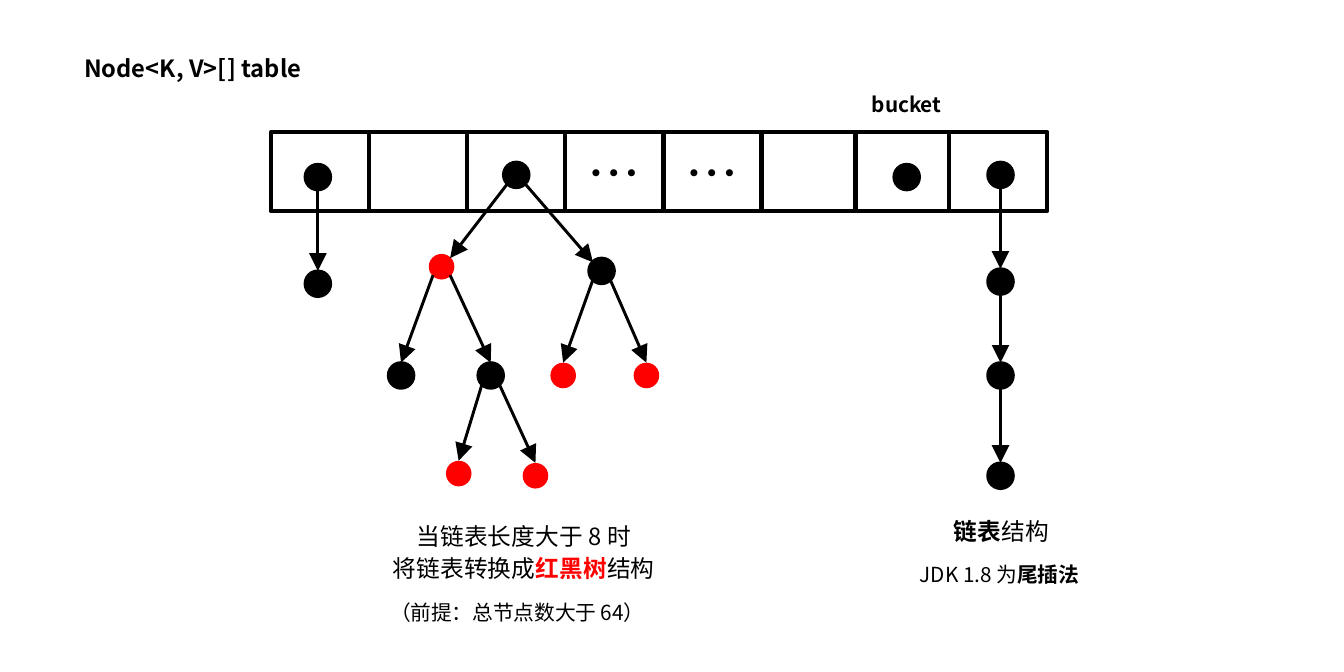
from dataclasses import dataclass

from lxml.etree import SubElement
from pptx import Presentation
from pptx.dml.color import RGBColor as RGB
from pptx.enum.shapes import MSO_CONNECTOR as CONNECTOR, MSO_SHAPE as SHAPE
from pptx.enum.text import MSO_ANCHOR as ANCHOR, PP_ALIGN as ALIGN
from pptx.oxml.ns import qn
from pptx.util import Inches, Pt


@dataclass(frozen=True)
class Theme:
    font: str = "Noto Sans CJK SC"
    black: RGB = RGB(0x00, 0x00, 0x00)
    white: RGB = RGB(0xFF, 0xFF, 0xFF)
    red: RGB = RGB(0xFF, 0x00, 0x00)
    body: float = 8
    small: float = 7
    ellipsis: float = 18
    cell_line: float = 1.5
    node_line: float = 1
    node: float = 0.12


class HashMapSlide:
    def __init__(self, slide, theme):
        self.shapes = slide.shapes
        self.theme = theme

    def set_lines(self, frame, lines, size, spacing=None):
        """Fill a frame; each line is a list of (text, bold, colour) runs."""
        frame.word_wrap = True
        frame.vertical_anchor = ANCHOR.MIDDLE
        frame.margin_left = frame.margin_right = 0
        frame.margin_top = frame.margin_bottom = 0
        for index, line in enumerate(lines):
            paragraph = frame.add_paragraph() if index else frame.paragraphs[0]
            paragraph.alignment = ALIGN.CENTER
            if spacing:
                paragraph.line_spacing = spacing
            paragraph.font.size = Pt(size)
            paragraph.font.name = self.theme.font
            defaults = paragraph._p.pPr.find(qn("a:defRPr"))
            SubElement(defaults, qn("a:ea")).set("typeface", self.theme.font)
            for text, bold, colour in line:
                run = paragraph.add_run()
                run.text = text
                run.font.bold = bold
                run.font.color.rgb = colour

    def text(self, left, top, width, height, lines, size, spacing=None):
        box = self.shapes.add_textbox(
            Inches(left), Inches(top), Inches(width), Inches(height))
        self.set_lines(box.text_frame, lines, size, spacing)

    def shape(self, kind, left, top, width, height, fill, line_width):
        item = self.shapes.add_shape(
            kind, Inches(left), Inches(top), Inches(width), Inches(height))
        item.shadow.inherit = False
        item.fill.solid()
        item.fill.fore_color.rgb = fill
        if line_width:
            item.line.color.rgb = self.theme.black
            item.line.width = Pt(line_width)
        else:
            item.line.fill.background()
        return item

    def cell(self, left, top, width, height, label):
        cell = self.shape(SHAPE.RECTANGLE, left, top, width, height,
                          self.theme.white, self.theme.cell_line)
        if label:
            self.set_lines(cell.text_frame, [[(label, False, self.theme.black)]],
                           self.theme.ellipsis)

    def node(self, x, y, colour):
        size = self.theme.node
        outline = self.theme.node_line if colour == self.theme.black else None
        self.shape(SHAPE.OVAL, x - size / 2, y - size / 2, size, size, colour, outline)

    def arrow(self, parent, child):
        """Run from the parent's lower edge to the child's upper edge."""
        radius, corner = self.theme.node / 2, 0.04
        (x1, y1), (x2, y2) = parent, child
        dx, dy = x2 - x1, y2 - y1
        side = (dx > 0) - (dx < 0)
        start = (x1 + side * corner, y1 + (corner if side else radius))
        if abs(dx) > 0.7 * dy:
            end = (x2 - side * corner, y2 - corner)
        else:
            end = (x2, y2 - radius)
        link = self.shapes.add_connector(
            CONNECTOR.STRAIGHT, *(Inches(value) for value in start + end))
        link.line.color.rgb = self.theme.black
        link.line.width = Pt(self.theme.node_line)
        outline = link._element.spPr.find(qn("a:ln"))
        SubElement(outline, qn("a:tailEnd")).set("type", "triangle")
        SubElement(link._element.spPr, qn("a:effectLst"))

    def tree(self, x, y, colour, *children):
        """Draw a node and, below it, its nested (x, y, colour, *children)."""
        self.node(x, y, colour)
        for child in children:
            self.tree(*child)
            self.arrow((x, y), child[:2])


def main():
    theme = Theme()
    black, red = theme.black, theme.red
    deck = Presentation()
    deck.slide_width, deck.slide_height = Inches(6.3), Inches(3.15)
    page = HashMapSlide(deck.slides.add_slide(deck.slide_layouts[6]), theme)

    wide, narrow = 0.46, 0.44
    left = 1.27
    for index, label in enumerate(["", "", "", "…", "…", "", "", ""]):
        page.cell(left, 0.62, wide, 0.37, label)
        left += wide if index < 5 else narrow

    buckets = [
        (1.49, 0.83, black, (1.49, 1.33, black)),
        (2.42, 0.82, black,
         (2.07, 1.25, red,
          (1.88, 1.76, black),
          (2.3, 1.76, black, (2.15, 2.22, red), (2.51, 2.23, red))),
         (2.82, 1.27, black, (2.64, 1.76, red), (3.03, 1.76, red))),
        (4.25, 0.83, black),
        (4.69, 0.82, black,
         (4.69, 1.32, black, (4.69, 1.76, black, (4.69, 2.23, black)))),
    ]
    for bucket in buckets:
        page.tree(*bucket)

    page.text(0.17, 0.2, 1.47, 0.24, [[("Node<K, V>[] table", True, black)]], theme.body)
    page.text(3.85, 0.38, 0.8, 0.22, [[("bucket", True, black)]], theme.small)
    page.text(1.53, 2.38, 1.85, 0.4, [
        [("当链表长度大于 8 时", False, black)],
        [("将链表转换成", False, black), ("红黑树", True, red), ("结构", False, black)],
    ], theme.body, 1.14)
    page.text(0.85, 2.76, 3.15, 0.22,
              [[("（前提：总节点数大于 64）", False, black)]], theme.small)
    page.text(4.21, 2.37, 0.97, 0.24,
              [[("链表", True, black), ("结构", False, black)]], theme.body)
    page.text(3.76, 2.57, 1.85, 0.23,
              [[("JDK 1.8 为", False, black), ("尾插法", True, black)]], theme.small, 1.14)

    deck.save("out.pptx")


if __name__ == "__main__":
    main()
